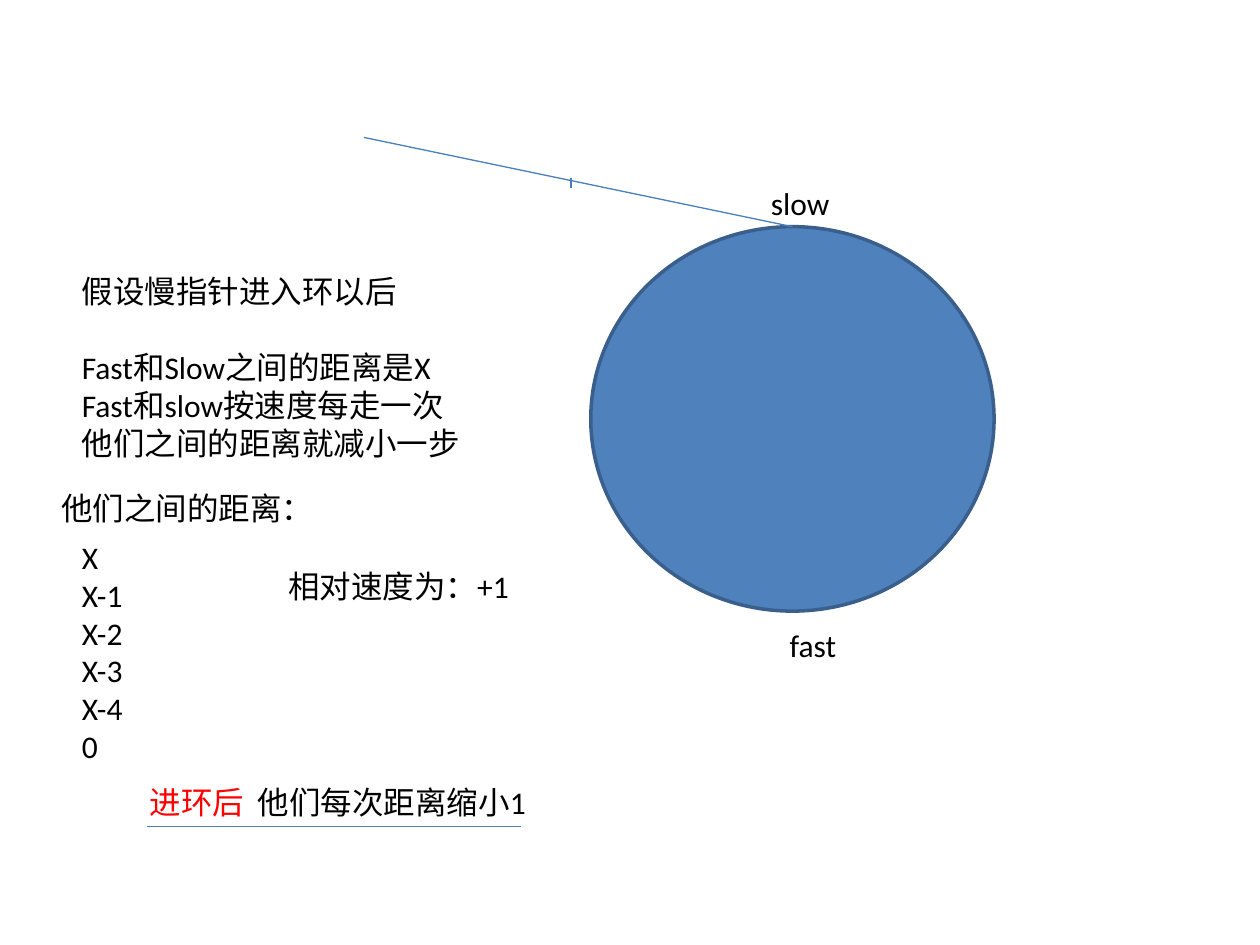
from pptx import Presentation
from pptx.dml.color import RGBColor
from pptx.enum.lang import MSO_LANGUAGE_ID
from pptx.enum.shapes import MSO_CONNECTOR, MSO_SHAPE
from pptx.enum.text import MSO_ANCHOR, PP_ALIGN
from pptx.oxml.ns import qn
from pptx.util import Cm, Pt
from lxml import etree

BLACK = RGBColor(0x00, 0x00, 0x00)
RED = RGBColor(0xFF, 0x00, 0x00)
WHITE = RGBColor(0xFF, 0xFF, 0xFF)
RING_FILL = RGBColor(0x4F, 0x81, 0xBD)
RING_EDGE = RGBColor(0x3A, 0x5F, 0x8C)
LINE_BLUE = RGBColor(0x4B, 0x7E, 0xBC)
STRAIGHT = MSO_CONNECTOR.STRAIGHT
OVAL, RECTANGLE = MSO_SHAPE.OVAL, MSO_SHAPE.RECTANGLE
LEFT, TOP = PP_ALIGN.LEFT, MSO_ANCHOR.TOP
CHINESE = MSO_LANGUAGE_ID.SIMPLIFIED_CHINESE
LINE_HEIGHT = 1.02  # cm, a one-line text box
BLANK_LINE = Pt(22)


def write(shape, lines, color=BLACK):
    frame = shape.text_frame
    frame.word_wrap = True
    frame.vertical_anchor = TOP
    for i, line in enumerate(lines):
        paragraph = frame.paragraphs[0] if i == 0 else frame.add_paragraph()
        paragraph.alignment = LEFT
        run = paragraph.add_run()
        run.text = line
        run.font.name = "Calibri"
        run.font.size = Pt(18)
        run.font.color.rgb = color
        run.font.language_id = CHINESE
    return frame


def add_text(slide, x, y, width, lines, height=LINE_HEIGHT):
    box = slide.shapes.add_textbox(Cm(x), Cm(y), Cm(width), Cm(height))
    return write(box, lines)


def add_line(slide, x1, y1, x2, y2):
    line = slide.shapes.add_connector(STRAIGHT, Cm(x1), Cm(y1), Cm(x2), Cm(y2))
    line.line.color.rgb = LINE_BLUE
    line.line.width = Pt(0.75)
    etree.SubElement(line._element.spPr, qn("a:effectLst"))


def add_linked_ring(slide, x, y, width, height):
    """The ring, the list leading into it, and both pointers."""
    ring = slide.shapes.add_shape(OVAL, Cm(x), Cm(y), Cm(width), Cm(height))
    ring.shadow.inherit = False
    ring.fill.solid()
    ring.fill.fore_color.rgb = RING_FILL
    ring.line.color.rgb = RING_EDGE
    ring.line.width = Pt(2)

    # Lead-in list with its tick
    entry = x + width / 2
    add_line(slide, entry - 8.64, y - 1.8, entry, y)
    add_line(slide, x - 0.4, y - 0.99, x - 0.4, y - 0.79)

    # Pointers
    add_text(slide, x + 3.38, y - 0.99, 4.17, ["slow"])
    add_text(slide, x + 3.76, y + height + 0.18, 3.96, ["fast"])


def add_reasoning(slide, x, y):
    """Assumption, shrinking distances and relative speed."""
    assumption = add_text(slide, x, y, 9.32, [
        "假设慢指针进入环以后",
        "Fast和Slow之间的距离是X",
        "Fast和slow按速度每走一次",
        "他们之间的距离就减小一步",
    ], 4.11)
    assumption.paragraphs[1].space_before = BLANK_LINE

    add_text(slide, x - 0.41, y + 4.37, 6.35, ["他们之间的距离："])
    distances = ["X"] + [f"X-{step}" for step in range(1, 5)] + ["0"]
    add_text(slide, x, y + 5.36, 1.78, distances, 4.88)
    add_text(slide, x + 4.16, y + 5.94, 4.95, ["相对速度为：+1"])


def add_conclusion(slide, x, y, width):
    """Underlined closing statement."""
    condition = slide.shapes.add_shape(
        RECTANGLE, Cm(x), Cm(y), Cm(width), Cm(LINE_HEIGHT))
    condition.shadow.inherit = False
    condition.fill.solid()
    condition.fill.fore_color.rgb = WHITE
    condition.line.fill.background()
    write(condition, ["进环后"], RED)
    add_text(slide, x + 2.18, y, 7.14, ["他们每次距离缩小1"])
    add_line(slide, x + 0.2, y + 0.99, x + width + 0.2, y + 0.99)


def main():
    prs = Presentation()
    prs.slide_width, prs.slide_height = Cm(25.4), Cm(19.05)
    slide = prs.slides.add_slide(prs.slide_layouts[6])
    add_linked_ring(slide, 11.91, 4.57, 8.13, 7.75)
    add_reasoning(slide, 1.4, 5.36)
    add_conclusion(slide, 2.77, 15.67, 7.54)
    prs.save("out.pptx")


if __name__ == "__main__":
    main()
